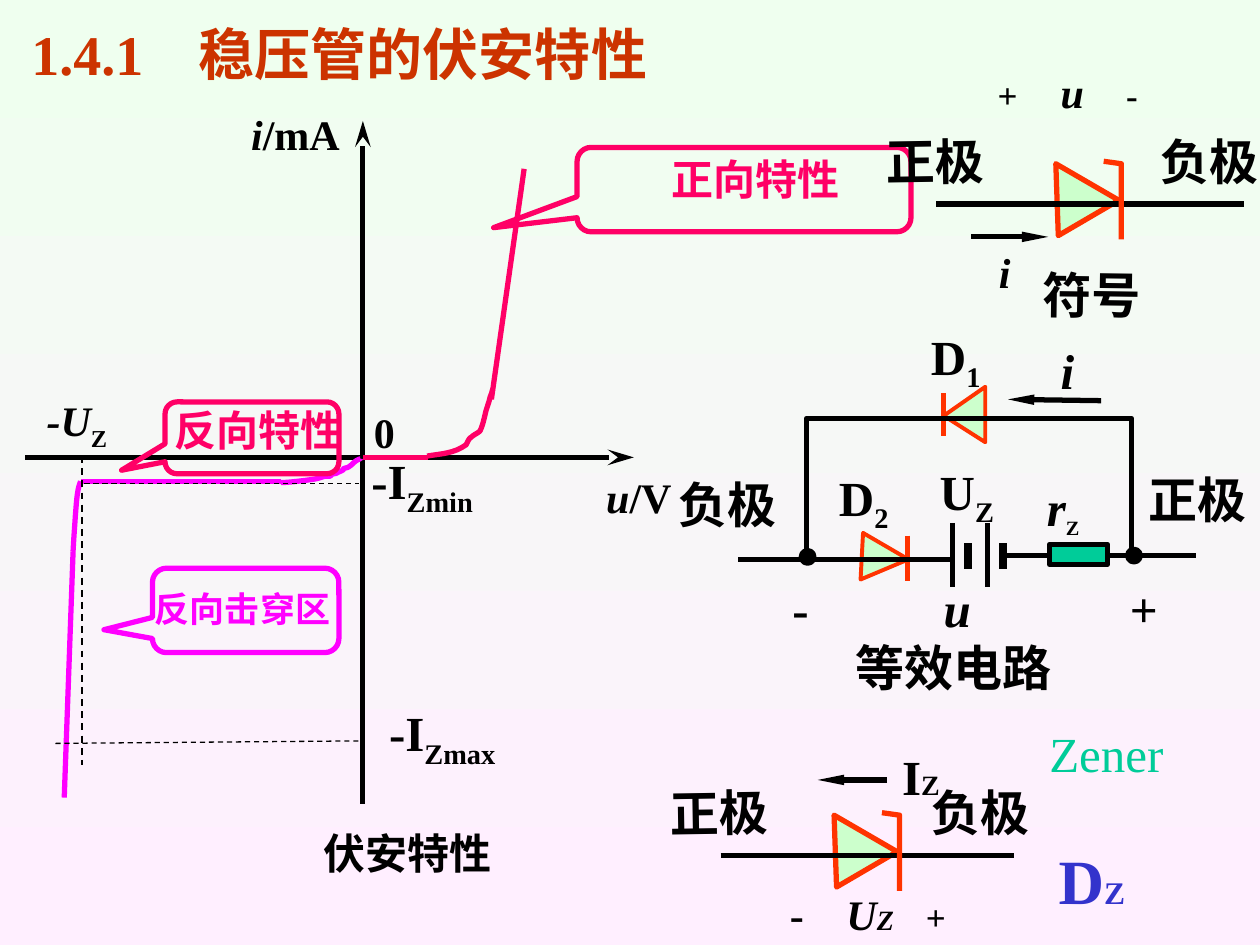
import dataclasses

import lxml.etree
import pptx
import pptx.dml.color
import pptx.enum.dml
import pptx.enum.shapes
import pptx.enum.text
import pptx.oxml.ns
import pptx.util

Inches = pptx.util.Inches
Pt = pptx.util.Pt
qn = pptx.oxml.ns.qn
SHAPES = pptx.enum.shapes.MSO_SHAPE


@dataclasses.dataclass(frozen=True)
class Theme:
    latin: str = "Times New Roman"
    cjk: str = "Noto Sans CJK SC"
    ink: str = "000000"
    title: str = "CC3300"
    forward: str = "FF0066"
    breakdown: str = "FF00FF"
    diode_edge: str = "FF3300"
    diode_fill: str = "CCFFCC"
    accent: str = "00CC99"
    emblem: str = "3333CC"
    sky: str = "EFFFEF"
    ground: str = "FFEFFF"
    emblem_size: int = 36
    title_size: int = 32
    large: int = 28
    medium: int = 24
    small: int = 20
    emblem_index: int = 18
    index: int = 16
    stroke: float = 3


def rgb(value):
    return pptx.dml.color.RGBColor.from_string(value)


def add_text(paragraph, text, *, size, color, font, cjk, bold=True, italic=False, sub=False):
    run = paragraph.add_run()
    run.text = text
    run.font.size = Pt(size)
    run.font.name = font
    run.font.bold = bold
    run.font.italic = italic
    run.font.color.rgb = rgb(color)
    properties = run.font._element
    lxml.etree.SubElement(properties, qn("a:ea"), typeface=cjk)
    if sub:
        properties.set("baseline", "-25000")


def bezier(points, steps=8):
    curve = [points[0]]
    for i in range(0, len(points) - 1, 3):
        a, b, c, d = points[i:i + 4]
        for t in (step / steps for step in range(1, steps + 1)):
            s = 1 - t
            curve.append(tuple(s**3 * p + 3 * s * s * t * q + 3 * s * t * t * r + t**3 * e
                               for p, q, r, e in zip(a, b, c, d)))
    return curve


class Board:
    def __init__(self, slide, theme):
        self.slide = slide
        self.theme = theme
        fill = slide.background.fill
        fill.gradient()
        fill.gradient_angle = 270
        for stop, color in zip(fill.gradient_stops, (theme.sky, theme.ground)):
            stop.color.rgb = rgb(color)

    def outline(self, shape, color, width, fill=None):
        shape.shadow.inherit = False
        shape.line.color.rgb = rgb(color)
        shape.line.width = Pt(width)
        if fill:
            shape.fill.solid()
            shape.fill.fore_color.rgb = rgb(fill)
        else:
            shape.fill.background()

    def label(self, x, y, w, h, *parts, size=None, color=None, font=None, center=True,
              wrap=False, rotation=0, tabs=(), **style):
        box = self.slide.shapes.add_textbox(Inches(x), Inches(y), Inches(w), Inches(h))
        box.rotation = rotation
        frame = box.text_frame
        frame.word_wrap = wrap
        if not wrap:
            frame.auto_size = pptx.enum.text.MSO_AUTO_SIZE.SHAPE_TO_FIT_TEXT
        paragraph = frame.paragraphs[0]
        if center:
            frame.vertical_anchor = pptx.enum.text.MSO_ANCHOR.MIDDLE
            paragraph.alignment = pptx.enum.text.PP_ALIGN.CENTER
        if tabs:
            stops = lxml.etree.SubElement(paragraph._p.get_or_add_pPr(), qn("a:tabLst"))
            for stop in tabs:
                lxml.etree.SubElement(stops, qn("a:tab"), pos=str(Inches(stop)), algn="l")
        base = dict(size=size or self.theme.medium, color=color or self.theme.ink,
                    font=font or self.theme.latin, cjk=self.theme.cjk, **style)
        for part in parts:
            text, change = (part, {}) if isinstance(part, str) else part
            add_text(paragraph, text, **{**base, **change})

    def line(self, x1, y1, x2, y2, color=None, width=None, dashed=False, arrow=None):
        link = self.slide.shapes.add_connector(
            pptx.enum.shapes.MSO_CONNECTOR.STRAIGHT, Inches(x1), Inches(y1), Inches(x2), Inches(y2))
        link.line.color.rgb = rgb(color or self.theme.ink)
        link.line.width = Pt(width or self.theme.stroke)
        if dashed:
            link.line.dash_style = pptx.enum.dml.MSO_LINE.DASH
        if arrow:
            lxml.etree.SubElement(link.line._get_or_add_ln(), qn("a:tailEnd"), type=arrow,
                                  w="med" if arrow == "stealth" else "sm", len="lg")
        lxml.etree.SubElement(link._element.spPr, qn("a:effectLst"))

    def outline_path(self, points, color, width=None, fill=None):
        corners = [(Inches(x), Inches(y)) for x, y in points]
        builder = self.slide.shapes.build_freeform(*corners[0])
        builder.add_line_segments(corners[1:], close=bool(fill))
        self.outline(builder.convert_to_shape(), color, width or self.theme.stroke, fill)

    def shape(self, kind, x, y, w, h, color, fill=None, adjustments=()):
        item = self.slide.shapes.add_shape(kind, Inches(x), Inches(y), Inches(w), Inches(h))
        for i, value in enumerate(adjustments):
            item.adjustments[i] = value
        self.outline(item, color, self.theme.stroke, fill)

    def callout(self, x, y, w, h, color, tip):
        self.shape(SHAPES.ROUNDED_RECTANGULAR_CALLOUT, x, y, w, h, color, adjustments=(*tip, 0.167))

    def zener(self, x, y, start, end):
        theme = self.theme
        self.outline_path([(x + 0.5, y - 0.03), (x, y - 0.32), (x + 0.02, y + 0.25)],
                          theme.diode_edge, fill=theme.diode_fill)
        self.line(start, y, end, y)
        self.outline_path([(x + 0.38, y - 0.34), (x + 0.52, y - 0.32), (x + 0.52, y + 0.28)],
                          theme.diode_edge)
        for text, left, angle in (("正极", start - 0.51, 359.1), ("负极", end - 0.77, 359.8)):
            self.label(left, y - 0.63, 1, 0.57, text, size=theme.large, font=theme.cjk,
                       rotation=angle)


def draw_characteristic(board):
    theme = board.theme
    board.line(0.2, 3.63, 5.03, 3.63, arrow="stealth")
    board.line(2.88, 6.38, 2.88, 0.96, arrow="stealth")

    forward_knee = [(3.39, 3.62), (3.51, 3.6), (3.6, 3.6), (3.7, 3.53), (3.71, 3.51), (3.72, 3.48),
                    (3.74, 3.47), (3.76, 3.45), (3.79, 3.44), (3.81, 3.42), (3.83, 3.38),
                    (3.84, 3.33), (3.85, 3.29), (3.86, 3.24), (3.88, 3.2), (3.89, 3.15),
                    (3.9, 3.13), (3.91, 3.09), (3.91, 3.09)]
    reverse_knee = [(2.23, 3.83), (2.29, 3.83), (2.45, 3.81), (2.51, 3.8), (2.59, 3.78),
                    (2.55, 3.78), (2.62, 3.78), (2.63, 3.77), (2.63, 3.77), (2.64, 3.76),
                    (2.65, 3.76), (2.67, 3.76), (2.68, 3.75), (2.78, 3.71), (2.68, 3.73),
                    (2.76, 3.71), (2.78, 3.7), (2.8, 3.68), (2.81, 3.67), (2.86, 3.63),
                    (2.86, 3.65), (2.86, 3.64)]
    breakdown_knee = [(0.64, 3.82), (0.63, 3.85), (0.62, 3.87), (0.61, 3.96), (0.6, 4.06),
                      (0.59, 4.22), (0.58, 4.38)]
    for knee, color in ((forward_knee, theme.forward), (reverse_knee, theme.breakdown),
                        (breakdown_knee, theme.breakdown)):
        board.outline_path(bezier(knee), color)
    board.line(3.9, 3.17, 4.16, 1.34, theme.forward)
    board.line(2.88, 3.63, 3.4, 3.63, theme.forward)
    board.line(0.64, 3.82, 2.23, 3.82, theme.breakdown)
    board.line(0.58, 4.38, 0.51, 6.33, theme.breakdown)

    board.line(0.67, 3.84, 2.85, 3.84, width=0.75, dashed=True)
    board.line(0.44, 5.9, 2.88, 5.88, width=0.75, dashed=True)
    board.line(0.65, 3.62, 0.65, 6.07, width=1, dashed=True)

    italic, lower = {"italic": True}, {"sub": True}
    board.label(1.8, 0.81, 1.09, 0.5, ("i", italic), "/mA", wrap=True)
    board.label(4.61, 3.69, 0.92, 0.5, ("u", italic), "/V", wrap=True)
    board.label(2.87, 3.18, 0.36, 0.5, "0")
    board.label(0.27, 3.08, 0.68, 0.56, ("-U", italic), ("Z", lower))
    board.label(2.82, 3.53, 1.06, 0.63, "-I", ("Zmin", lower), size=theme.large)
    board.label(2.98, 5.53, 1.06, 0.63, "-I", ("Zmax", lower), size=theme.large)
    board.label(2.17, 6.52, 2.13, 0.5, "伏安特性", wrap=True)

    board.callout(4.58, 1.17, 2.65, 0.67, theme.forward, (-0.75, 0.451))
    board.label(5.23, 1.17, 1.53, 0.5, "正向特性", color=theme.forward)
    board.callout(1.21, 4.51, 1.48, 0.67, theme.breakdown, (-0.76, 0.229))
    board.label(1.13, 4.61, 1.59, 0.44, "反向击穿区", color=theme.breakdown, size=theme.small)
    board.callout(1.31, 3.19, 1.38, 0.57, theme.forward, (-0.75, 0.451))
    board.label(1.13, 3.16, 1.84, 0.5, "反向特性", color=theme.forward, wrap=True)


def draw_symbols(board):
    theme = board.theme
    italic, sign = {"italic": True}, {"size": theme.small}
    board.zener(8.38, 1.62, 7.43, 9.87)
    board.label(8.15, 2.05, 1.03, 0.57, "符号", size=theme.large, font=theme.cjk, wrap=True,
                rotation=0.8)
    board.label(7.82, 0.48, 1.5, 0.5, ("+", sign), ("\tu", italic), ("\t-", sign),
                center=False, wrap=True, tabs=(0.5, 1.02))
    board.line(7.71, 1.88, 8.32, 1.88, arrow="triangle")
    board.label(7.83, 1.91, 0.29, 0.5, "i", center=False, italic=True)

    board.zener(6.62, 6.79, 5.72, 8.05)
    board.label(7.06, 5.87, 0.5, 0.57, "I", ("Z", {"size": theme.index}), size=theme.large)
    board.label(6.17, 7, 1.6, 0.5, "-", ("\tU", italic), ("Z", {**italic, "size": theme.index}),
                ("\t+", sign), center=False, wrap=True, tabs=(0.45, 1.08))
    board.line(7.04, 6.19, 6.49, 6.19, arrow="triangle")
    board.label(8.09, 6.66, 1.15, 0.64, "D", ("Z", {"size": theme.emblem_index}),
                size=theme.emblem_size, color=theme.emblem, wrap=True)
    board.label(8.23, 5.69, 1.6, 0.57, "Zener", size=theme.large, color=theme.accent,
                bold=False, center=False, wrap=True)


def draw_equivalent_circuit(board):
    theme = board.theme
    plain = dict(size=theme.large, center=False)
    lower, italic = {"sub": True}, {"italic": True}
    for diode, bar in (([(7.49, 3.3), (7.82, 3.07), (7.82, 3.51)], (7.49, 3.12, 7.49, 3.46)),
                       ([(7.21, 4.44), (6.85, 4.23), (6.83, 4.6)], (7.2, 4.25, 7.2, 4.61))):
        board.outline_path(diode, theme.diode_edge, 2.25, theme.diode_fill)
        board.line(*bar, color=theme.diode_edge)
    board.outline_path([(6.4, 4.43), (6.4, 3.32), (8.98, 3.32), (8.98, 4.43)], theme.ink)
    board.line(5.86, 4.44, 7.56, 4.44)
    board.line(7.95, 4.41, 9.49, 4.41)
    for long_plate, short_plate in ((7.56, 7.68), (7.84, 7.96)):
        board.line(long_plate, 4.15, long_plate, 4.66)
        board.line(short_plate, 4.31, short_plate, 4.52, width=4.5)
    board.shape(SHAPES.RECTANGLE, 8.33, 4.32, 0.46, 0.16, theme.ink, theme.accent)
    for x, y in ((6.36, 4.37), (8.95, 4.36)):
        board.shape(SHAPES.OVAL, x, y, 0.1, 0.1, theme.ink, theme.ink)
    for x, y, name, mark in ((7.29, 2.54, "D", "1"), (6.56, 3.66, "D", "2"), (7.36, 3.61, "U", "Z")):
        board.label(x, y, 0.98, 0.63, name, (mark, lower), wrap=True, **plain)
    board.label(8.21, 3.74, 0.98, 0.59, ("r", italic), ("Z", {**lower, "size": theme.small}),
                wrap=True, **plain)
    for x, y, pole in ((9.02, 3.68, "正极"), (5.29, 3.72, "负极")):
        board.label(x, y, 0.98, 0.57, pole, **plain)
    board.label(6.69, 5.01, 2.44, 0.57, "等效电路", wrap=True, **plain)
    board.label(6.19, 4.54, 3.2, 0.57, "-", ("\tu", italic), "\t+", wrap=True, tabs=(1.2, 2.68),
                **plain)
    board.line(8.74, 3.18, 8, 3.17, arrow="triangle")
    board.label(8.32, 2.65, 0.31, 0.57, "i", italic=True, **plain)


def main():
    deck = pptx.Presentation()
    deck.slide_width, deck.slide_height = Inches(10), Inches(7.5)
    theme = Theme()
    board = Board(deck.slides.add_slide(deck.slide_layouts[6]), theme)
    board.label(0.15, 0.11, 5.38, 0.64, "1.4.1\t稳压管的伏安特性", size=theme.title_size,
                color=theme.title, center=False, wrap=True, tabs=(1.33,))
    draw_characteristic(board)
    draw_symbols(board)
    draw_equivalent_circuit(board)
    deck.save("out.pptx")


if __name__ == "__main__":
    main()
